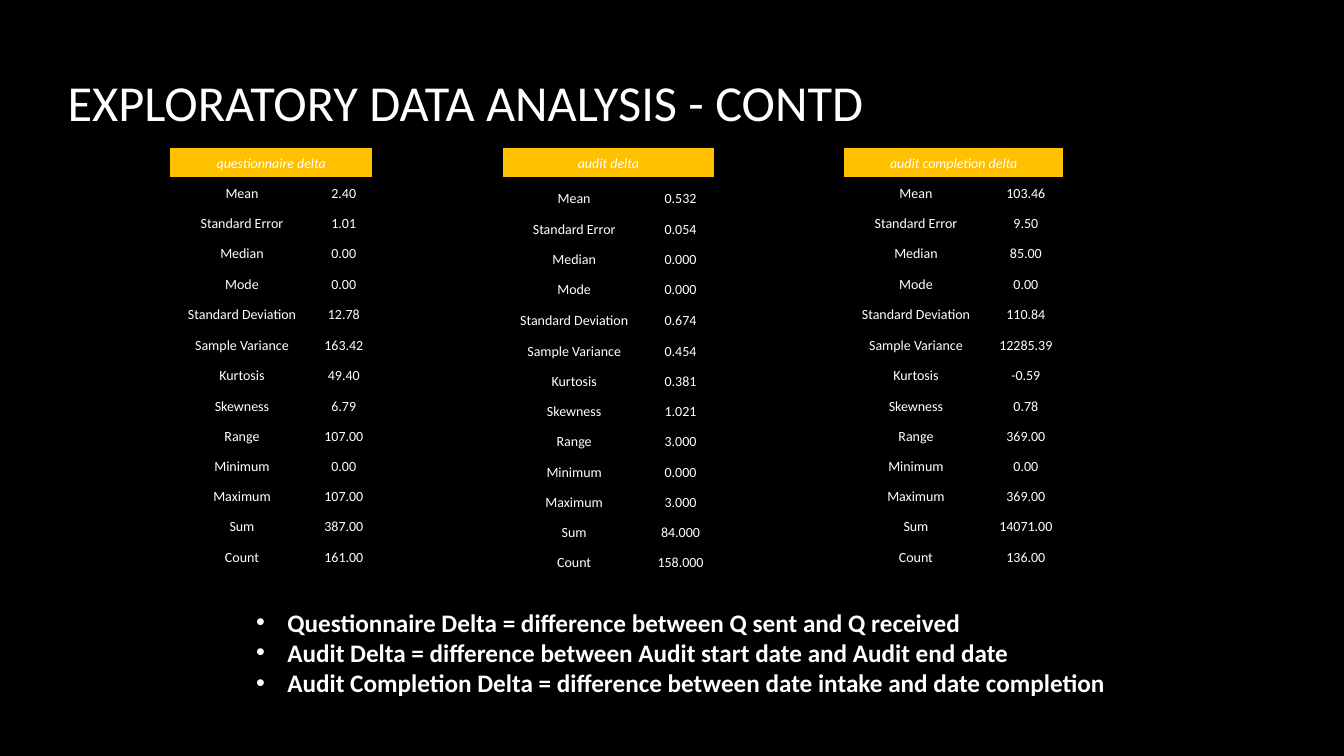
from lxml.etree import SubElement
from pptx import Presentation
from pptx.dml.color import RGBColor
from pptx.enum.text import MSO_ANCHOR as Anchor, MSO_AUTO_SIZE as AutoSize, PP_ALIGN as Align
from pptx.oxml.ns import qn
from pptx.util import Inches, Pt

BLACK = RGBColor(0x00, 0x00, 0x00)
WHITE = RGBColor(0xFF, 0xFF, 0xFF)
AMBER = RGBColor(0xFF, 0xC0, 0x00)

STATISTICS = ["Mean", "Standard Error", "Median", "Mode", "Standard Deviation",
              "Sample Variance", "Kurtosis", "Skewness", "Range", "Minimum",
              "Maximum", "Sum", "Count"]
DELTAS = [
    ("questionnaire delta", Anchor.MIDDLE,
     ["2.40", "1.01", "0.00", "0.00", "12.78", "163.42", "49.40", "6.79",
      "107.00", "0.00", "107.00", "387.00", "161.00"]),
    ("audit delta", Anchor.BOTTOM,
     ["0.532", "0.054", "0.000", "0.000", "0.674", "0.454", "0.381", "1.021",
      "3.000", "0.000", "3.000", "84.000", "158.000"]),
    ("audit completion delta", Anchor.MIDDLE,
     ["103.46", "9.50", "85.00", "0.00", "110.84", "12285.39", "-0.59", "0.78",
      "369.00", "0.00", "369.00", "14071.00", "136.00"]),
]
COLUMN_WIDTHS = [1.44, 0.58, 1.28, 1.43, 0.68, 1.28, 1.43, 0.75]
ROW_HEIGHT = 0.3
DEFINITIONS = [
    "Questionnaire Delta = difference between Q sent and Q received",
    "Audit Delta = difference between Audit start date and Audit end date",
    "Audit Completion Delta = difference between date intake and date completion",
]


def add_run(paragraph, text, size, bold=False, italic=False):
    run = paragraph.add_run()
    run.text = text
    font = run.font
    font.name, font.size, font.color.rgb = "Calibri", Pt(size), WHITE
    font.bold, font.italic = bold, italic


def write_cell(cell, text, anchor, italic=False):
    cell.vertical_anchor = anchor
    paragraph = cell.text_frame.paragraphs[0]
    paragraph.alignment = Align.CENTER
    paragraph.line_spacing = 1.07
    paragraph.space_after = Pt(8)
    add_run(paragraph, text, 10, italic=italic)


prs = Presentation()
prs.slide_width, prs.slide_height = Inches(13.33), Inches(7.5)
slide = prs.slides.add_slide(prs.slide_layouts[1])
slide.background.fill.solid()
slide.background.fill.fore_color.rgb = BLACK

title = slide.shapes.title
title.left, title.top = Inches(0.57), Inches(0.21)
title.width, title.height = Inches(11.08), Inches(1.59)
title.text_frame.vertical_anchor = Anchor.MIDDLE
heading = title.text_frame.paragraphs[0]
heading.alignment = Align.LEFT
add_run(heading, "EXPLORATORY DATA ANALYSIS - CONTD", 36)

row_count = len(STATISTICS) + 1
summary = slide.shapes.add_table(
    row_count, len(COLUMN_WIDTHS), Inches(1.68), Inches(1.46),
    Inches(sum(COLUMN_WIDTHS)), Inches(ROW_HEIGHT * row_count)).table
summary.first_row = summary.horz_banding = False
for column, width in zip(summary.columns, COLUMN_WIDTHS):
    column.width = Inches(width)
for row in summary.rows:
    row.height = Inches(ROW_HEIGHT)
summary.rows[STATISTICS.index("Standard Deviation") + 1].height = Inches(0.31)

for cell in summary.iter_cells():
    cell.margin_left = cell.margin_right = cell.margin_top = Inches(0.01)
    cell.margin_bottom = 0
    properties = cell._tc.get_or_add_tcPr()
    for side in ("a:lnL", "a:lnR", "a:lnT", "a:lnB"):
        border = SubElement(properties, qn(side), w=str(Pt(1)))
        color = SubElement(border, qn("a:solidFill"))
        SubElement(color, qn("a:srgbClr"), val=str(BLACK))
    cell.fill.background()
    # Keeps blank cells from stretching their row
    SubElement(cell.text_frame.paragraphs[0]._p, qn("a:endParaRPr"), sz="1000")

for group, (delta, anchor, values) in enumerate(DELTAS):
    label_column = group * 3
    header = summary.cell(0, label_column)
    header.merge(summary.cell(0, label_column + 1))
    header.fill.solid()
    header.fill.fore_color.rgb = AMBER
    write_cell(header, delta, Anchor.MIDDLE, italic=True)
    for row, (statistic, value) in enumerate(zip(STATISTICS, values), start=1):
        write_cell(summary.cell(row, label_column), statistic, anchor)
        write_cell(summary.cell(row, label_column + 1), value, anchor)

definitions = slide.placeholders[1]
definitions.left, definitions.top = Inches(2.44), Inches(5.97)
definitions.width, definitions.height = Inches(8.74), Inches(1.01)
frame = definitions.text_frame
frame.auto_size = AutoSize.SHAPE_TO_FIT_TEXT
for index, definition in enumerate(DEFINITIONS):
    paragraph = frame.add_paragraph() if index else frame.paragraphs[0]
    paragraph.space_before = Pt(0)
    indents = paragraph._p.get_or_add_pPr()
    indents.set("marL", str(Inches(0.31)))
    indents.set("indent", str(Inches(-0.31)))
    SubElement(indents, qn("a:buFont"), typeface="Arial")
    SubElement(indents, qn("a:buChar"), char="•")
    add_run(paragraph, definition, 18, bold=True)

prs.save("out.pptx")
